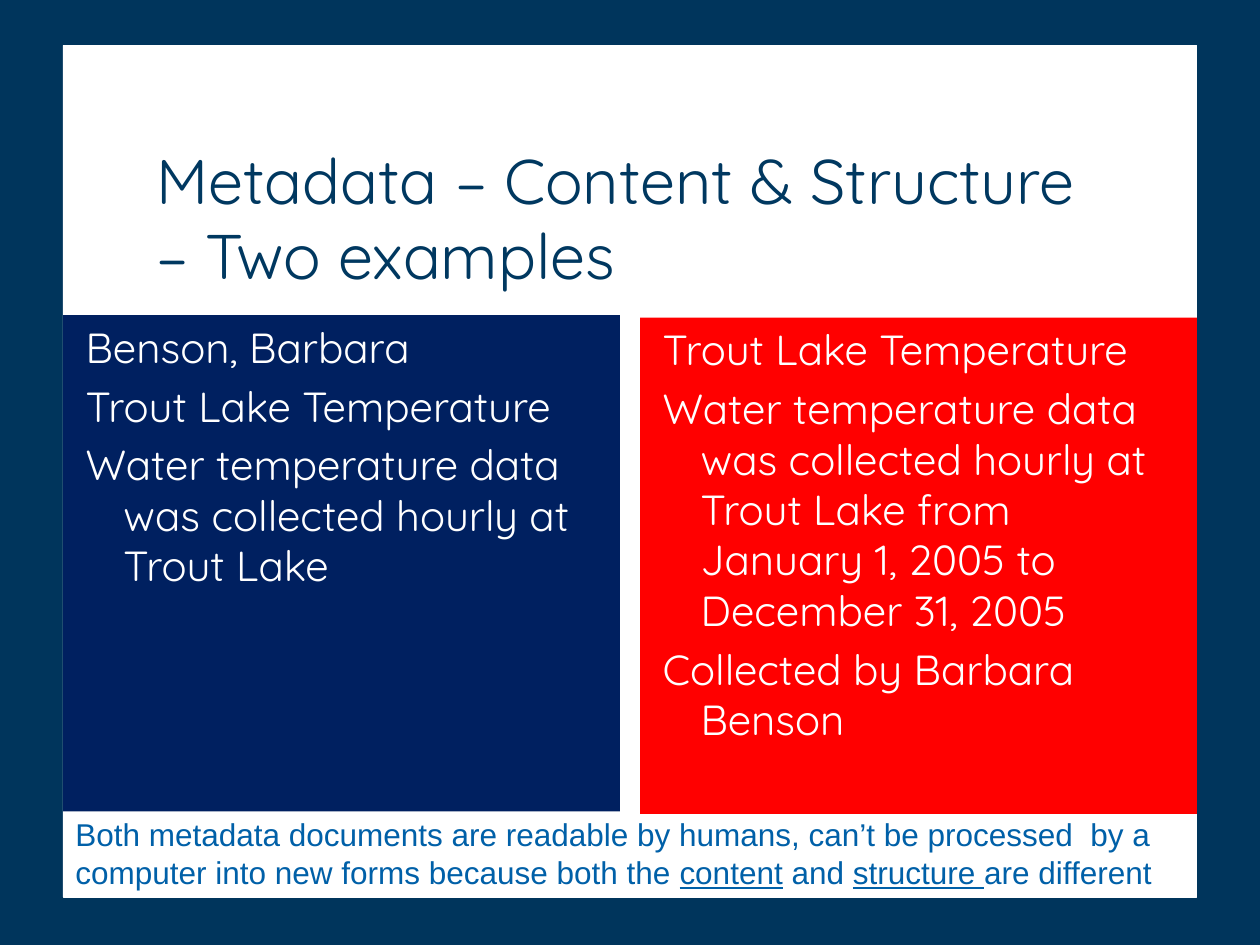
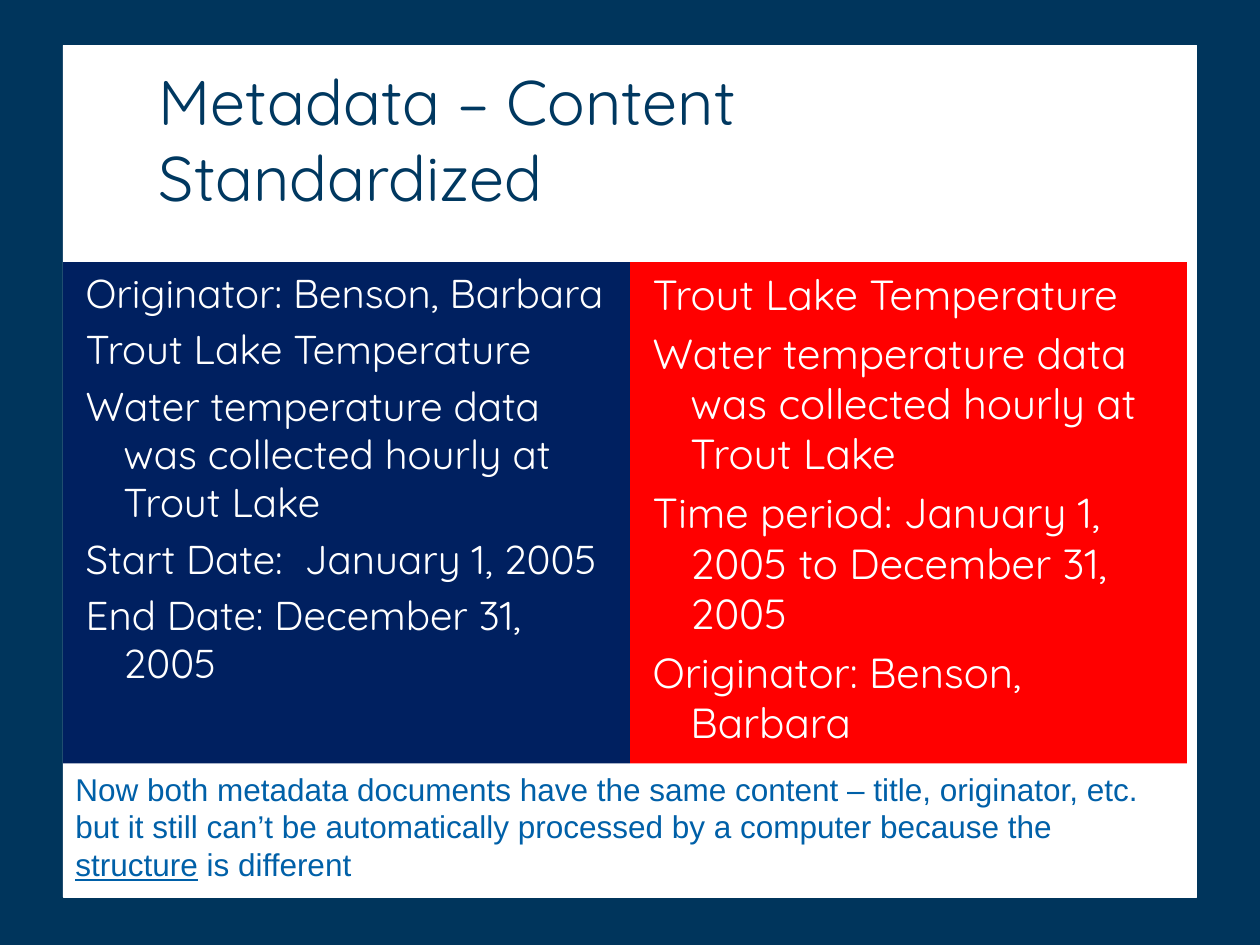
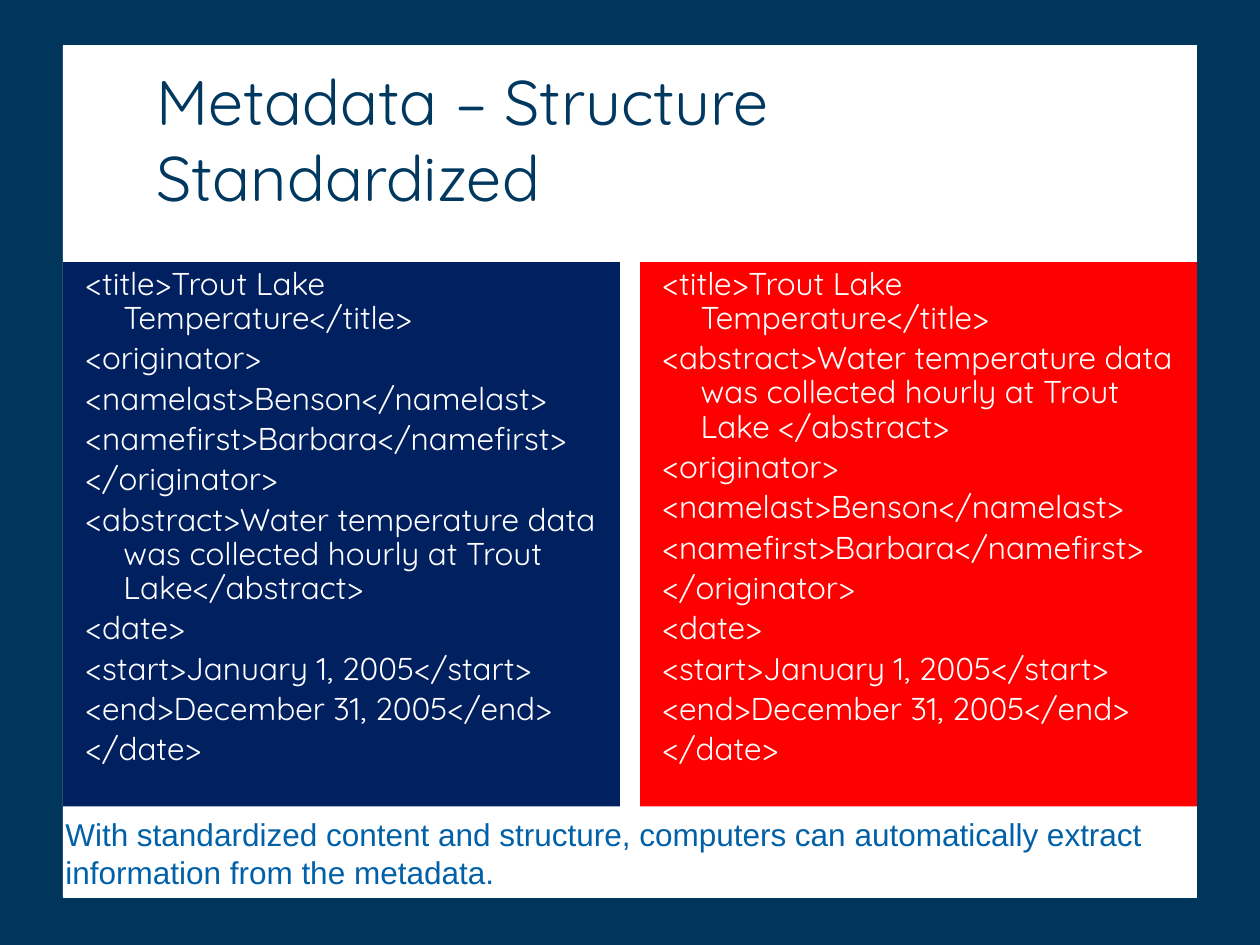
import pptx
import pptx.dml.color
import pptx.enum.shapes
import pptx.enum.text
import pptx.util
from pptx.util import Inches

# Colours
RGB = pptx.dml.color.RGBColor
NAVY = RGB(0x00, 0x35, 0x5C)
TITLE = RGB(0x00, 0x38, 0x60)
BLUE = RGB(0x00, 0x20, 0x60)
RED = RGB(0xFF, 0x00, 0x00)
NOTE = RGB(0x00, 0x60, 0xA8)
WHITE = RGB(0xFF, 0xFF, 0xFF)

# Shared text formats
FORMATS = {
    "title": {"name": "Quicksand", "size": pptx.util.Pt(36), "color": TITLE},
    "panel": {"name": "Quicksand", "color": WHITE},
    "note": {"name": "Arial", "size": pptx.util.Pt(18), "color": NOTE},
}
ANCHOR = pptx.enum.text.MSO_ANCHOR
FIT = pptx.enum.text.MSO_AUTO_SIZE

# Wording used more than once
LAKE = "Trout Lake Temperature"
WATER = "Water temperature data was collected hourly at Trout Lake"
SPAN = "January 1, 2005 to December 31, 2005"
HEAD = [f"<title>{LAKE}</title>"]
MAKER = ["<originator>", "<namelast>Benson</namelast>",
         "<namefirst>Barbara</namefirst>", "</originator>"]
DATE = ["<date>", "<start>January 1, 2005</start>",
        "<end>December 31, 2005</end>", "</date>"]

# Each panel: box, text size, lines. Underscores in a note mark underlining.
SLIDES = [
    {
        "title": ("Metadata – Content & Structure – Two examples",
                  (1.14, 1.12, 7.68, 1.25)),
        "left": ((0.5, 2.5, 4.42, 3.94), 24, ["Benson, Barbara", LAKE, WATER]),
        "right": ((5.08, 2.52, 4.42, 3.94), 24,
                  [LAKE, f"{WATER} from {SPAN}", "Collected by Barbara Benson"]),
        "space": 1,
        "note": ("Both metadata documents are readable by humans, can’t be "
                 "processed  by a computer into new forms because both the "
                 "_content_ and _structure _are different",
                 (0.5, 6.42, 8.92, 0.7)),
    },
    {
        "title": ("Metadata – Content Standardized", (1.16, 0.5, 7.68, 1.25)),
        "left": ((0.5, 2.08, 4.5, 3.98), 23,
                 ["Originator: Benson, Barbara", LAKE, WATER,
                  "Start Date:  January 1, 2005", "End Date: December 31, 2005"]),
        "right": ((5, 2.08, 4.42, 3.98), 24,
                  [LAKE, WATER, f"Time period: {SPAN}",
                   "Originator: Benson, Barbara"]),
        "space": 1,
        "note": ("Now both metadata documents have the same content – title, "
                 "originator, etc. but it still can’t be automatically processed "
                 "by a computer because the _structure_ is different",
                 (0.5, 6.06, 8.77, 1)),
    },
    {
        "title": ("Metadata – Structure Standardized", (1.14, 0.5, 7.68, 1.25)),
        "left": ((0.5, 2.08, 4.42, 4.32), 18,
                 HEAD + MAKER + [f"<abstract>{WATER}</abstract>"] + DATE),
        "right": ((5.08, 2.08, 4.42, 4.32), 18,
                  HEAD + [f"<abstract>{WATER} </abstract>"] + MAKER + DATE),
        "space": 0.9,
        "note": ("With standardized content and structure, computers can "
                 "automatically extract information from the metadata.",
                 (0.42, 6.42, 9.02, 0.7)),
    },
]


def style(font, kind, **more):
    for key, value in {**FORMATS[kind], **more}.items():
        if key == "color":
            font.color.rgb = value
        else:
            setattr(font, key, value)


def place(shape, box):
    for key, value in zip(("left", "top", "width", "height"), box):
        setattr(shape, key, Inches(value))


def paint(shape, color):
    shape.fill.solid()
    shape.fill.fore_color.rgb = color


def add_title(slide, text, box):
    shape = slide.shapes.title
    place(shape, box)
    frame = shape.text_frame
    frame.text = text
    frame.auto_size = FIT.NONE
    frame.vertical_anchor = ANCHOR.BOTTOM
    para = frame.paragraphs[0]
    para.alignment = pptx.enum.text.PP_ALIGN.LEFT
    style(para.runs[0].font, "title")


def fill_panel(shape, color, space, box, size, lines):
    place(shape, box)
    paint(shape, color)
    frame = shape.text_frame
    frame.text = "\n".join(lines)
    frame.auto_size = FIT.NONE
    for para in frame.paragraphs:
        para.line_spacing = space
        style(para.runs[0].font, "panel", size=pptx.util.Pt(size))
        # Hanging indent without a bullet
        props = para._p.get_or_add_pPr()
        props.set("marL", str(Inches(0.38)))
        props.set("indent", str(Inches(-0.3)))
        props.append(pptx.oxml.parse_xml(
            '<a:buNone xmlns:a='
            '"http://schemas.openxmlformats.org/drawingml/2006/main"/>'))


def add_note(slide, text, box):
    frame = slide.shapes.add_textbox(*map(Inches, box)).text_frame
    frame.word_wrap = True
    frame.auto_size = FIT.SHAPE_TO_FIT_TEXT
    for pos, part in enumerate(text.split("_")):
        run = frame.paragraphs[0].add_run()
        run.text = part
        style(run.font, "note", underline=pos % 2 == 1)


def add_sheet(master, slide):
    """Put the white sheet behind everything, on the master."""
    sheet = slide.shapes.add_shape(
        pptx.enum.shapes.MSO_SHAPE.RECTANGLE,
        *map(Inches, (0.5, 0.36, 9, 6.76)))
    paint(sheet, WHITE)
    sheet.line.color.rgb = WHITE
    sheet.line.width = pptx.util.Pt(0.5)
    sheet.shadow.inherit = False
    sheet.element.nvSpPr.cNvPr.set("id", "20")
    master.shapes.element.insert(2, sheet.element)


def main():
    deck = pptx.Presentation()
    deck.slide_width, deck.slide_height = Inches(10), Inches(7.5)
    master = deck.slide_master
    paint(master.background, NAVY)

    for item in SLIDES:
        slide = deck.slides.add_slide(deck.slide_layouts[3])
        add_title(slide, *item["title"])
        for spot, side, color in ((1, "left", BLUE), (2, "right", RED)):
            fill_panel(slide.placeholders[spot], color, item["space"], *item[side])
        add_note(slide, *item["note"])

    add_sheet(master, deck.slides[0])
    deck.save("out.pptx")


if __name__ == "__main__":
    main()
